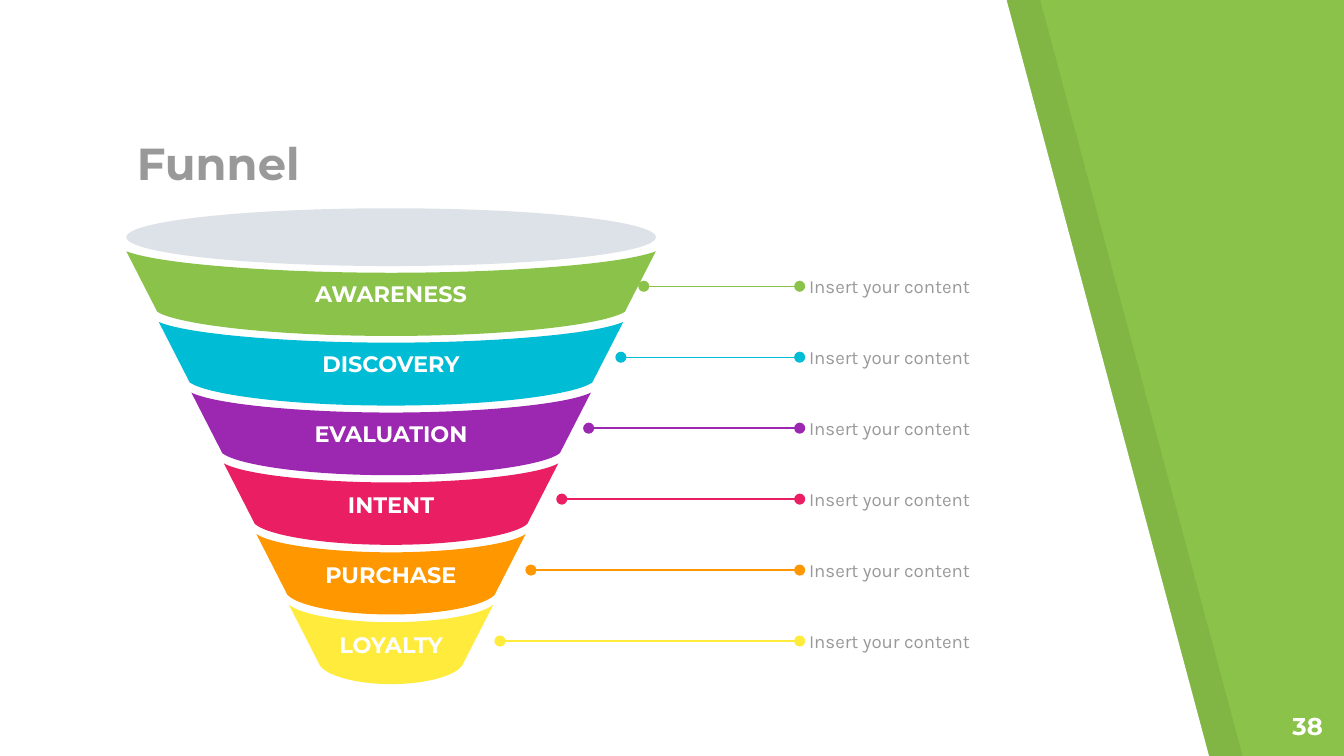
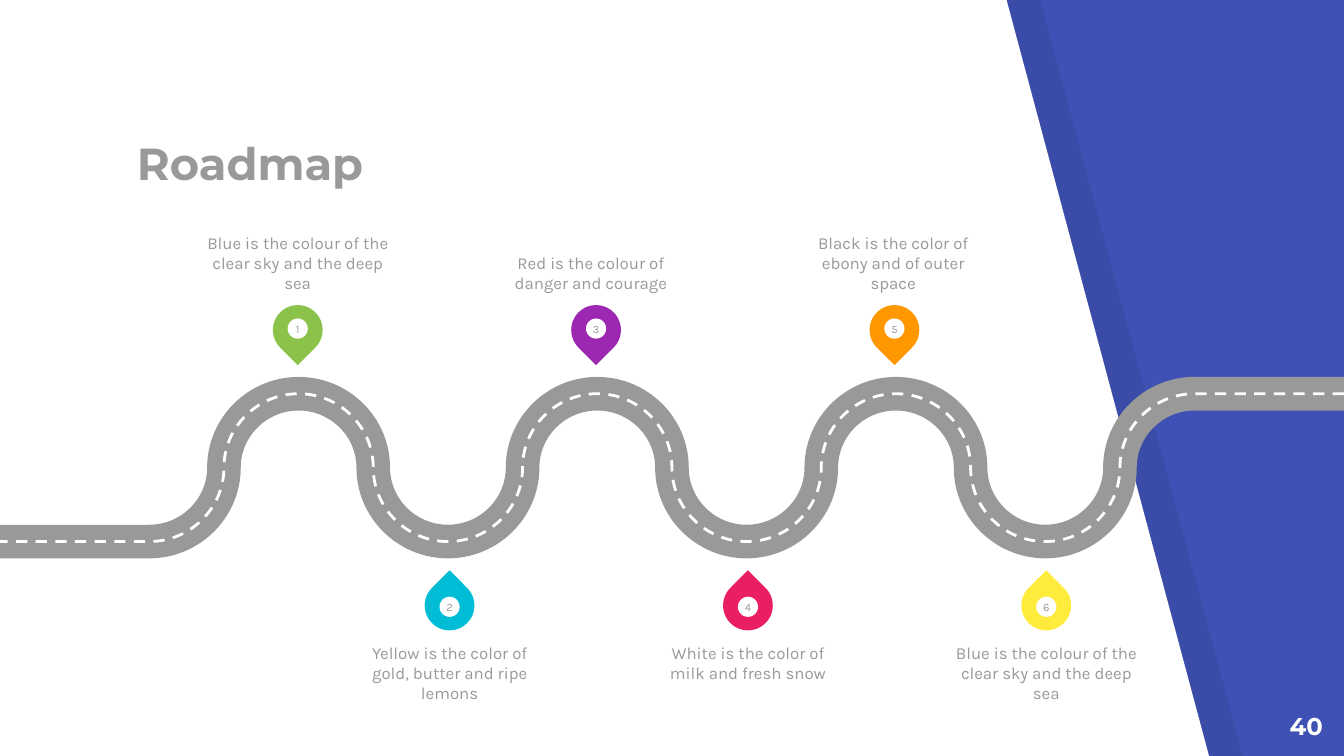
from lxml import etree
from pptx import Presentation
from pptx.dml.color import RGBColor
from pptx.enum.dml import MSO_LINE
from pptx.enum.shapes import MSO_CONNECTOR, MSO_SHAPE
from pptx.enum.text import MSO_ANCHOR, PP_ALIGN
from pptx.oxml.ns import qn
from pptx.util import Inches, Pt

OVAL, DROP = MSO_SHAPE.OVAL, MSO_SHAPE.TEAR
LINE, DASH = MSO_CONNECTOR.STRAIGHT, MSO_LINE.DASH
TOP, MID, LOW = MSO_ANCHOR.TOP, MSO_ANCHOR.MIDDLE, MSO_ANCHOR.BOTTOM
LEFT, MIDDLE, RIGHT = PP_ALIGN.LEFT, PP_ALIGN.CENTER, PP_ALIGN.RIGHT


class Theme:
    green, cyan, purple = "8BC34A", "00BCD4", "9C27B0"
    pink, orange, yellow = "E91E63", "FF9800", "FFEB3B"
    indigo, gray, pale = "3F51B5", "999999", "DCE2E7"
    white, black = "FFFFFF", "000000"
    steps = [green, cyan, purple, pink, orange, yellow]
    head, body = "Montserrat", "Karla"
    title, page, band, label, note, digit = 24, 13, 12, 10, 9, 6


def draw(slide, form, fill=None, box=None):
    """Add a preset shape in a box, or an outline from a list of steps.

    A step of one point is a line; a step of three points is a curve.
    """
    if box:
        shape = slide.shapes.add_shape(form, *map(Inches, box))
    else:
        points = [(Inches(x), Inches(y)) for step in form for x, y in step]
        pen = slide.shapes.build_freeform(*points[0], scale=1.0)
        pen.add_line_segments(points[1:], close=fill is not None)
        shape = pen.convert_to_shape()
        lines = iter(list(shape._element.iter(qn("a:lnTo"))))
        for step in form[1:]:
            first = next(lines)
            if len(step) == 3:
                first.tag = qn("a:cubicBezTo")
                for line in (next(lines), next(lines)):
                    first.append(line[0])
                    line.getparent().remove(line)
    shape.shadow.inherit = False
    shape.line.fill.background()
    if fill:
        shape.fill.solid()
        shape.fill.fore_color.rgb = RGBColor.from_string(fill)
    else:
        shape.fill.background()
    return shape


def write(shape, words, size, color, font=Theme.body, align=MIDDLE,
          anchor=MID, pad=0):
    frame = shape.text_frame
    frame.text = words
    frame.word_wrap = True
    frame.vertical_anchor = anchor
    frame.margin_left = frame.margin_right = Inches(pad)
    frame.margin_top = frame.margin_bottom = Inches(pad)
    frame.paragraphs[0].alignment = align
    style = frame.paragraphs[0].runs[0].font
    style.name, style.size = font, Pt(size)
    style.bold = font == Theme.head
    style.color.rgb = RGBColor.from_string(color)


deck = Presentation()
deck.slide_width = Inches(10)
deck.slide_height = Inches(10) * 9 // 16

# Shared frame: coloured side, slanted panel, title and page number
slides = []
for title, page, color in [("Funnel", "38", Theme.green),
                           ("Roadmap", "40", Theme.indigo)]:
    slide = deck.slides.add_slide(deck.slide_layouts[6])
    slide.background.fill.solid()
    slide.background.fill.fore_color.rgb = RGBColor.from_string(color)
    for shift, fill in [(0.25, Theme.black), (0, Theme.white)]:
        panel = draw(slide, [[(shift, -0.01)], [(shift, 5.64)],
                             [(shift + 9, 5.64)], [(shift + 7.49, 0)]], fill)
        if shift:
            tone = panel.fill._xPr.find(".//" + qn("a:srgbClr"))
            etree.SubElement(tone, qn("a:alpha"), val="7000")
    box = slide.shapes.add_textbox(*map(Inches, (0.92, 1.06, 5.25, 0.45)))
    write(box, title, Theme.title, Theme.gray, Theme.head, LEFT, LOW, 0.1)
    box = slide.shapes.add_textbox(*map(Inches, (9.34, 5.19, 0.6, 0.43)))
    write(box, page, Theme.page, Theme.white, Theme.head, RIGHT, TOP, 0.1)
    slides.append(slide)
funnel, roadmap = slides

# Funnel bands: each edge moves evenly from the first band to the last
axis = 2.91
draw(funnel, OVAL, Theme.pale, (0.94, 1.55, 3.94, 0.43))
bands = [("AWARENESS", 4.79), ("DISCOVERY", 4.62), ("EVALUATION", 4.38),
         ("INTENT", 4.18), ("PURCHASE", 3.95), ("LOYALTY", 3.72)]
for i, (name, start) in enumerate(bands):
    part = i / (len(bands) - 1)
    color = Theme.steps[i]
    rim, rise = 1.97 - 1.21 * part, 1.87 + 2.63 * part
    base, fall = 1.74 - 1.21 * part, 2.32 + 2.63 * part
    dip, sag = 0.16 - 0.03 * part, 0.18 - 0.04 * part
    band = draw(funnel, [
        [(axis - rim, rise)],
        [(axis - 0.87 * rim, rise + 0.62 * dip),
         (axis - 0.42 * rim, rise + dip), (axis, rise + dip)],
        [(axis + 0.42 * rim, rise + dip),
         (axis + 0.87 * rim, rise + 0.62 * dip), (axis + rim, rise)],
        [(axis + base, fall)],
        [(axis + 0.92 * base, fall + 0.5 * sag),
         (axis + 0.53 * base, fall + sag), (axis, fall + sag)],
        [(axis - 0.53 * base, fall + sag),
         (axis - 0.92 * base, fall + 0.5 * sag), (axis - base, fall)],
    ], color)
    write(band, name, Theme.band, Theme.white, Theme.head)

    # Leader with round ends, and its label
    y = 2.13 + 2.64 * part
    lead = funnel.shapes.add_connector(
        LINE, Inches(start), Inches(y), Inches(5.95), Inches(y))
    lead.line.color.rgb = RGBColor.from_string(color)
    lead.line.width = Pt(0.75)
    for end in ("a:headEnd", "a:tailEnd"):
        etree.SubElement(lead.line._get_or_add_ln(), qn(end), type="oval")
    etree.SubElement(lead._element.spPr, qn("a:effectLst"))
    box = funnel.shapes.add_textbox(*map(Inches, (6.02, y - 0.19, 2.1, 0.38)))
    write(box, "Insert your content", Theme.label, Theme.gray, align=LEFT)

# Road: quarter circles from right to left, turning at three levels
bend = 5 / 9
pull = 0.55
levels = [2.93, 3.48, 4.03, 3.48]
x, y = 16 * bend, levels[0]
road = [[(10, y)], [(x, y)]]
for turn in range(1, 15):
    left, level = x - bend, levels[turn % 4]
    reach = pull * (level - y)
    if turn % 2:
        guides = [(x - pull * bend, y), (left, level - reach)]
    else:
        guides = [(x, y + reach), (left + pull * bend, level)]
    road.append(guides + [(left, level)])
    x, y = left, level
road.append([(0, y)])
for color, width, dash in [(Theme.gray, 18, None), (Theme.white, 1.5, DASH)]:
    lane = draw(roadmap, road)
    lane.line.color.rgb = RGBColor.from_string(color)
    lane.line.width = Pt(width)
    lane.line.dash_style = dash

# Pins with numbers and notes, odd ones above the road
stops = [(1.51, "Blue is the colour of the clear sky and the deep sea"),
         (2.64, "Yellow is the color of gold, butter and ripe lemons"),
         (3.69, "Red is the colour of danger and courage"),
         (4.86, "White is the color of milk and fresh snow"),
         (5.94, "Black is the color of ebony and of outer space"),
         (7.08, "Blue is the colour of the clear sky and the deep sea")]
for i, (left, words) in enumerate(stops):
    if i % 2:
        x, pin, dot, note, turn, anchor = 3.16, 4.32, 4.44, 4.78, 315, TOP
    else:
        x, pin, dot, note, turn, anchor = 2.03, 2.27, 2.37, 1.6, 135, LOW
    x += i // 2 * 2.22
    drop = draw(roadmap, DROP, Theme.steps[i], (x, pin, 0.37, 0.37))
    drop.rotation = turn
    disc = draw(roadmap, OVAL, Theme.white, (x + 0.11, dot, 0.15, 0.15))
    write(disc, str(i + 1), Theme.digit, Theme.gray)
    box = roadmap.shapes.add_textbox(*map(Inches, (left, note, 1.41, 0.58)))
    write(box, words, Theme.note, Theme.gray, anchor=anchor)

deck.save("out.pptx")
